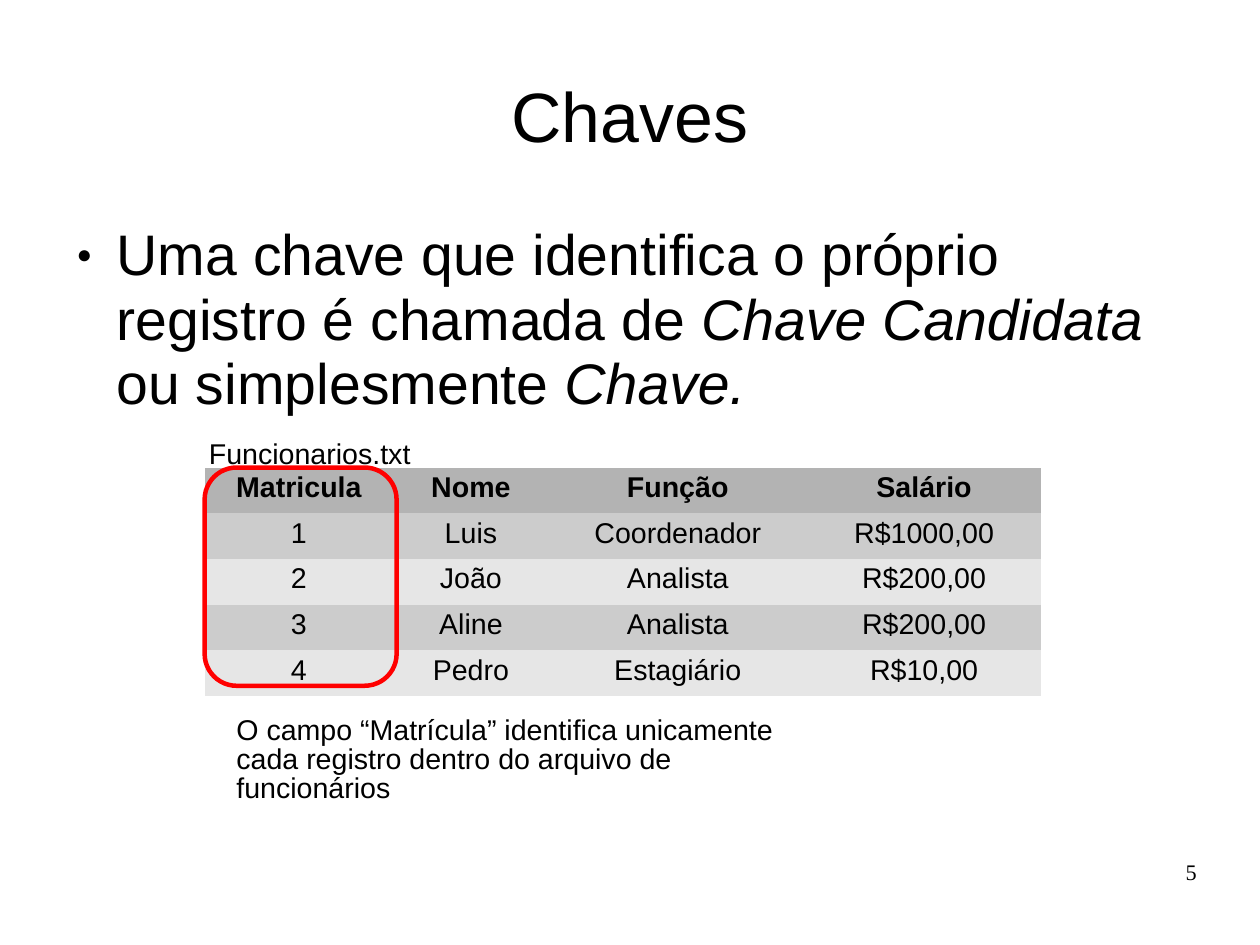
from lxml import etree
from pptx import Presentation, util as u
from pptx.dml.color import RGBColor
from pptx.enum import shapes, text
from pptx.oxml import ns

BLACK = RGBColor(0x00, 0x00, 0x00)
RED = RGBColor(0xFF, 0x00, 0x00)
HEADER_GRAY = RGBColor(0xB3, 0xB3, 0xB3)
BAND_GRAYS = RGBColor(0xCC, 0xCC, 0xCC), RGBColor(0xE6, 0xE6, 0xE6)
NO_STYLE = "{2D5ABB26-0587-4C30-8999-92F81FD0307C}"

SLIDE_W, SLIDE_H = u.Cm(28), u.Cm(21)
MARGIN, CONTENT_W = 0.55, 9.92
COLUMNS = 1.65, 1.36, 2.26, 2.05
ROW_H = 0.4
EMPLOYEES = (
    ("Matricula", "Nome", "Função", "Salário"),
    ("1", "Luis", "Coordenador", "R$1000,00"),
    ("2", "João", "Analista", "R$200,00"),
    ("3", "Aline", "Analista", "R$200,00"),
    ("4", "Pedro", "Estagiário", "R$10,00"),
)


def inches(box):
    """Turn a left, top, width, height box into lengths."""
    return [u.Inches(length) for length in box]


def write(frame, *parts, size=18, font="Arial", bold=False, align=text.PP_ALIGN.LEFT,
          spacing=0.94, after=0, insets=(0.1, 0.06, 0.1, 0.05), wrap=True,
          anchor=text.MSO_ANCHOR.TOP):
    """Write (wording, italic) parts as one paragraph and return it."""
    frame.auto_size = text.MSO_AUTO_SIZE.NONE
    frame.word_wrap = wrap
    frame.vertical_anchor = anchor
    (frame.margin_left, frame.margin_top,
     frame.margin_right, frame.margin_bottom) = inches(insets)
    paragraph = frame.paragraphs[0]
    paragraph.alignment = align
    paragraph.line_spacing = spacing
    paragraph.space_before = u.Pt(0)
    paragraph.space_after = u.Pt(after)
    for wording, italic in parts:
        run = paragraph.add_run()
        run.text = wording
        run.font.size, run.font.name = u.Pt(size), font
        run.font.bold, run.font.italic = bold, italic
        run.font.color.rgb = BLACK
    return paragraph


def place(placeholder, box):
    """Move a placeholder to the box and return its text frame."""
    (placeholder.left, placeholder.top,
     placeholder.width, placeholder.height) = inches(box)
    return placeholder.text_frame


def add_bullet(paragraph):
    """Give the paragraph a small round bullet and a hanging indent."""
    properties = paragraph._p.get_or_add_pPr()
    properties.set("marL", str(u.Inches(0.47)))
    properties.set("indent", str(u.Inches(-0.35)))
    color = etree.SubElement(properties, ns.qn("a:buClr"))
    etree.SubElement(color, ns.qn("a:srgbClr"), val=str(BLACK))
    etree.SubElement(properties, ns.qn("a:buSzPct"), val="45000")
    etree.SubElement(properties, ns.qn("a:buFont"), typeface="Arial")
    etree.SubElement(properties, ns.qn("a:buChar"), char="●")


def add_label(slide, box, wording, **style):
    """Add a text box with one paragraph."""
    write(slide.shapes.add_textbox(*inches(box)).text_frame, (wording, False), **style)


def add_heading(slide, box):
    """Fill the title placeholder."""
    write(place(slide.shapes.title, box), ("Chaves", False), size=44,
          align=text.PP_ALIGN.CENTER, anchor=text.MSO_ANCHOR.MIDDLE,
          insets=(0, 0.04, 0, 0))


def add_definition(slide, box):
    """Fill the body placeholder with the definition of a key."""
    definition = write(
        place(slide.placeholders[1], box),
        ("Uma chave que identifica o próprio registro é chamada de ", False),
        ("Chave Candidata ", True), ("ou simplesmente ", False), ("Chave.", True),
        size=36, after=14.3, insets=(0, 0.03, 0, 0))
    add_bullet(definition)


def add_employees(slide, left, top):
    """Add the employee file: table, file name, key outline and remark."""
    height = ROW_H * len(EMPLOYEES)
    table = slide.shapes.add_table(
        len(EMPLOYEES), len(COLUMNS),
        *inches((left, top, sum(COLUMNS), height))).table
    table._tbl.tblPr.find(ns.qn("a:tableStyleId")).text = NO_STYLE
    table.horz_banding = False
    for column, width in zip(table.columns, COLUMNS):
        column.width = u.Inches(width)
    for r, record in enumerate(EMPLOYEES):
        table.rows[r].height = u.Inches(ROW_H)
        for c, value in enumerate(record):
            cell = table.cell(r, c)
            cell.fill.solid()
            cell.fill.fore_color.rgb = BAND_GRAYS[(r - 1) % 2] if r else HEADER_GRAY
            write(cell.text_frame, (value, False), bold=r == 0,
                  align=text.PP_ALIGN.CENTER, insets=(0.1, 0.05, 0.1, 0.05))

    add_label(slide, (left - 0.06, top - 0.31, 1.96, 0.38), "Funcionarios.txt", wrap=False)

    key_outline = slide.shapes.add_shape(
        shapes.MSO_SHAPE.ROUNDED_RECTANGLE,
        *inches((left, top, COLUMNS[0] + 0.03, height - 0.09)))
    key_outline.shadow.inherit = False
    key_outline.fill.background()
    key_outline.line.color.rgb = RED
    key_outline.line.width = u.Pt(2.83)

    add_label(slide, (left + 0.18, top + height + 0.13, 4.96, 0.94),
              "O campo “Matrícula” identifica unicamente cada registro "
              "dentro do arquivo de funcionários", spacing=0.84)


def main():
    """Build the slide and save it."""
    deck = Presentation()
    deck.slide_width, deck.slide_height = SLIDE_W, SLIDE_H
    slide = deck.slides.add_slide(deck.slide_layouts[1])
    add_heading(slide, (MARGIN, 0.33, CONTENT_W, 1.38))
    add_definition(slide, (MARGIN, 1.93, CONTENT_W, 4.8))
    add_employees(slide, 1.79, 4.09)
    add_label(slide, (MARGIN + CONTENT_W - 2.57, 7.53, 2.57, 0.57), "5", size=14,
              font="Times New Roman", align=text.PP_ALIGN.RIGHT, spacing=0.93,
              insets=(0, 0, 0, 0))
    deck.save("out.pptx")


if __name__ == "__main__":
    main()
